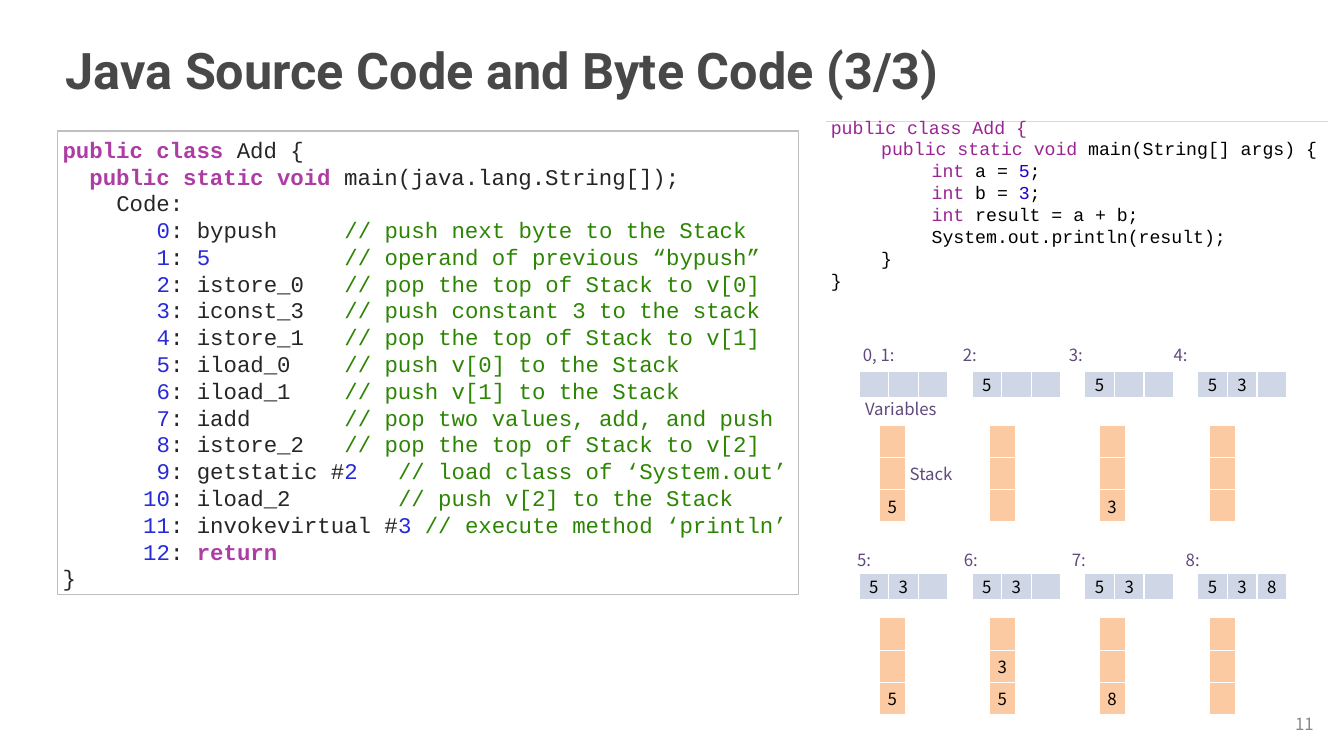
from lxml.etree import SubElement
from pptx import Presentation
from pptx.dml.color import RGBColor as RGB
from pptx.enum.shapes import MSO_CONNECTOR as CONN, MSO_SHAPE as SHAPE
from pptx.enum.text import MSO_ANCHOR as ANCHOR, PP_ALIGN as ALIGN
from pptx.oxml.ns import qn
from pptx.util import Inches, Pt

TITLE = "Java Source Code and Byte Code (3/3)"
PAGE = "11"
COLORS = {
    "title": "484848", "page": "888888", "label": "604A7B", "text": "000000",
    "rule": "D9D9D9", "frame": "BFBFBF", "white": "FFFFFF",
    "variables": "CFD7E7", "stack": "FBCAA2",
    "src_key": "9B2393", "src_num": "1C00CF",
    "key": "AD3DA4", "code": "262626", "num": "272AD8", "note": "2D8504",
}
SANS, MONO = "Noto Sans CJK KR", "Courier New"

SOURCE = [
    (0, [("src_key", "public class Add {")]),
    (1, [("src_key", "public static void"), ("text", " main(String[] args) {")]),
    (2, [("src_key", "int"), ("text", " a = "), ("src_num", "5"), ("text", ";")]),
    (2, [("src_key", "int"), ("text", " b = "), ("src_num", "3"), ("text", ";")]),
    (2, [("src_key", "int"), ("text", " result = a + b;")]),
    (2, [("text", "System.out.println(result);")]),
    (1, [("text", "}")]),
    (0, [("text", "}")]),
]
OPCODES = [
    ("bypush", "", 21, "push next byte to the Stack"),
    ("", "5", 21, "operand of previous “bypush”"),
    ("istore_0", "", 21, "pop the top of Stack to v[0]"),
    ("iconst_3", "", 21, "push constant 3 to the stack"),
    ("istore_1", "", 21, "pop the top of Stack to v[1]"),
    ("iload_0", "", 21, "push v[0] to the Stack"),
    ("iload_1", "", 21, "push v[1] to the Stack"),
    ("iadd", "", 21, "pop two values, add, and push"),
    ("istore_2", "", 21, "pop the top of Stack to v[2]"),
    ("getstatic #", "2", 25, "load class of ‘System.out’"),
    ("iload_2", "", 25, "push v[2] to the Stack"),
    ("invokevirtual #", "3", 27, "execute method ‘println’"),
]
HEAD = [
    (0, [("key", "public class"), ("code", " Add {")]),
    (2, [("key", "public static void"), ("code", " main(java.lang.String[]);")]),
    (4, [("code", "Code:")]),
]
TAIL = [
    (6, [("num", "12"), ("code", ": "), ("key", "return")]),
    (0, [("code", "}")]),
]
STEPS = [
    [("0, 1:", 8.44, 0.55, "", "  5"), ("2:", 9.49, 0.26, "5", ""),
     ("3:", 10.54, 0.26, "5", "  3"), ("4:", 11.58, 0.26, "53", "")],
    [("5:", 8.44, 0.26, "53", "  5"), ("6:", 9.5, 0.26, "53", " 35"),
     ("7:", 10.57, 0.26, "53", "  8"), ("8:", 11.7, 0.26, "538", "")],
]
ROW_TOPS = [(3.38, 3.68, 4.22), (5.41, 5.69, 6.13)]
NAMES = [("Variables", 8.52, 3.92, 0.83), ("Stack", 8.96, 4.56, 0.55)]
CHAR = 0.6 * 16 / 72


def rgb(name):
    return RGB.from_string(COLORS[name])


def set_frame(tf, **extra):
    fmt = {"margin_left": Inches(0.05), "margin_right": Inches(0.05),
           "margin_top": Inches(0.05), "margin_bottom": Inches(0.05), "word_wrap": True}
    for key, value in {**fmt, **extra}.items():
        setattr(tf, key, value)


def add_run(p, text, color, size, font, bold=False):
    r = p.add_run()
    r.text = text
    for key, value in {"size": Pt(size), "name": font, "bold": bold}.items():
        setattr(r.font, key, value)
    r.font.color.rgb = rgb(color)


def add_text(s, box, text, color, size=12, font=SANS, bold=False, align=ALIGN.CENTER, wrap=False):
    tf = s.shapes.add_textbox(*map(Inches, box)).text_frame
    set_frame(tf, vertical_anchor=ANCHOR.MIDDLE, word_wrap=wrap)
    tf.paragraphs[0].alignment = align
    add_run(tf.paragraphs[0], text, color, size, font, bold)


def add_code(tf, lines, size, spacing, step):
    for i, (depth, runs) in enumerate(lines):
        p = tf.paragraphs[0] if i == 0 else tf.add_paragraph()
        p.alignment, p.line_spacing = ALIGN.LEFT, Pt(spacing)
        pPr = p._p.get_or_add_pPr()
        pPr.set("marL", str(Inches(step * depth)))
        pPr.set("indent", "0")
        for color, text in runs:
            add_run(p, text, color, size, MONO, color == "key")


def add_cells(s, x, y, w, h, rows, cols, values, color):
    tbl = s.shapes.add_table(rows, cols, *map(Inches, (x, y, w, h))).table
    tbl.first_row = tbl.horz_banding = False
    for col in tbl.columns:
        col.width = Inches(w / cols)
    for row in tbl.rows:
        row.height = Inches(h / rows)
    for cell, value in zip(tbl.iter_cells(), values.ljust(rows * cols)):
        for side in ("left", "right", "top", "bottom"):
            setattr(cell, f"margin_{side}", 0)
        cell.vertical_anchor = ANCHOR.MIDDLE
        p = cell.text_frame.paragraphs[0]
        p.alignment = ALIGN.CENTER
        if value.strip():
            add_run(p, value, "text", 12, SANS)
        else:
            SubElement(p._p, qn("a:endParaRPr"), sz="1200")
        tcPr = cell._tc.get_or_add_tcPr()
        for edge in ("a:lnL", "a:lnR", "a:lnT", "a:lnB"):
            ln = SubElement(tcPr, qn(edge), w=str(Pt(1)))
            SubElement(SubElement(ln, qn("a:solidFill")), qn("a:srgbClr"), val=COLORS["white"])
        cell.fill.solid()
        cell.fill.fore_color.rgb = rgb(color)


def opcode_line(i, op, arg, note_col, note):
    num, code = str(i), f": {op}"
    start = 8 - len(num)
    pad = note_col - start - len(num + code)
    runs = [("num", num), ("code", code), ("num", arg.ljust(pad)), ("note", f"// {note}")]
    return start, runs


def main():
    """Build the byte code slide."""
    prs = Presentation()
    prs.slide_width, prs.slide_height = Inches(13.33), Inches(7.5)
    s = prs.slides.add_slide(prs.slide_layouts[6])
    add_text(s, (0.6, 0.29, 12.08, 0.79), TITLE, "title", 36, "Roboto", True, ALIGN.LEFT, True)
    add_text(s, (12.77, 7.04, 0.31, 0.28), PAGE, "page", align=ALIGN.RIGHT)

    rule = s.shapes.add_connector(CONN.STRAIGHT, *map(Inches, (8.19, 1.21, 13.17, 1.21)))
    rule.line.color.rgb, rule.line.width = rgb("rule"), Pt(0.75)
    SubElement(rule._element.spPr, qn("a:effectLst"))
    tf = s.shapes.add_textbox(*map(Inches, (8.19, 1.1, 4.98, 1.84))).text_frame
    set_frame(tf)
    add_code(tf, SOURCE, 13, 15.65, 0.5)

    for steps, (label_y, var_y, stack_y) in zip(STEPS, ROW_TOPS):
        for i, (label, x, w, variables, stack) in enumerate(steps):
            add_text(s, (x, label_y, w, 0.28), label, "label")
            add_cells(s, 8.52 + 1.12 * i, var_y, 0.88, 0.26, 1, 3, variables, "variables")
            add_cells(s, 8.72 + 1.09 * i, stack_y, 0.26, 0.96, 3, 1, stack, "stack")
    for name, x, y, w in NAMES:
        add_text(s, (x, y, w, 0.28), name, "label")

    box = s.shapes.add_shape(SHAPE.RECTANGLE, *map(Inches, (0.57, 1.3, 7.35, 4.6)))
    box.shadow.inherit = False
    box.fill.background()
    box.line.color.rgb, box.line.width = rgb("frame"), Pt(0.75)
    set_frame(box.text_frame, vertical_anchor=ANCHOR.TOP)
    listing = HEAD + [opcode_line(i, *op) for i, op in enumerate(OPCODES)] + TAIL
    add_code(box.text_frame, listing, 16, 19.15, CHAR)
    prs.save("out.pptx")


if __name__ == "__main__":
    main()
